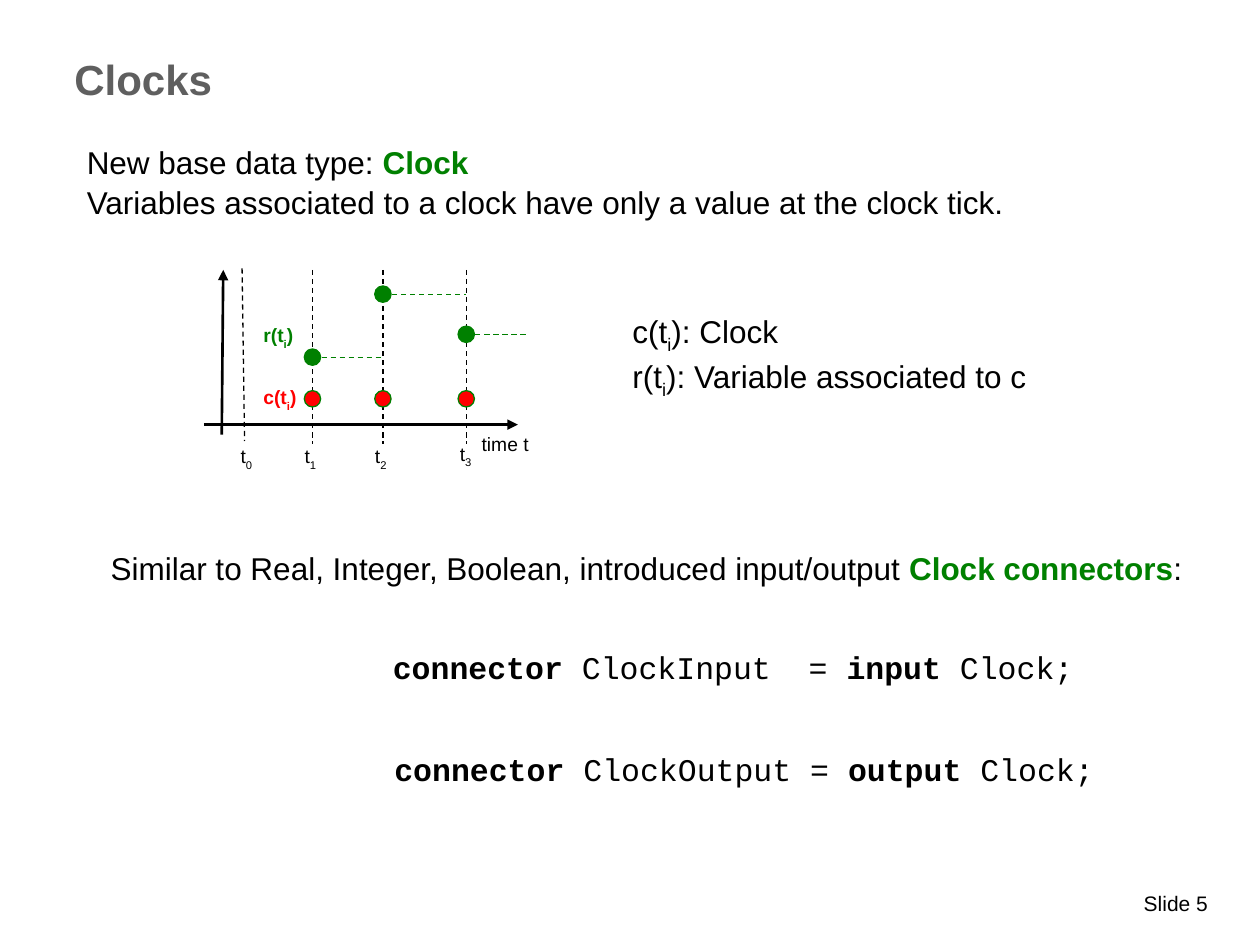
"""Build the slide that explains clocks and clock connectors."""
from dataclasses import dataclass

from lxml.etree import SubElement
from pptx import Presentation
from pptx.dml.color import RGBColor as Color
from pptx.enum.dml import MSO_LINE
from pptx.enum.shapes import MSO_CONNECTOR as Connector, MSO_SHAPE as Shape
from pptx.enum.text import PP_ALIGN as Align
from pptx.oxml.ns import qn
from pptx.util import Cm, Pt


@dataclass(frozen=True)
class Theme:
    """Colours, fonts and type sizes of the slide."""
    black: Color = Color(0, 0, 0)
    gray: Color = Color(0x5F, 0x5F, 0x5F)
    green: Color = Color(0, 0x80, 0)
    red: Color = Color(0xFF, 0, 0)
    sans: str = "Arial"
    mono: str = "Courier New"
    title: int = 24
    body: int = 18
    footer: int = 12
    label: int = 11
    axis: float = 1.5
    thin: float = 0.75


THEME = Theme()


def add_span(para, text, size, font=THEME.sans, color=THEME.black, bold=False, baseline=0):
    """Append one formatted run to a paragraph."""
    span = para.add_run()
    span.text = text
    span.font.size = Pt(size)
    span.font.name = font
    span.font.bold = bold
    span.font.color.rgb = color
    if baseline:
        span.font._element.set("baseline", str(baseline * 1000))


def add_text(slide, place, lines, size, inset=(0, 0), spacing=None, align=Align.LEFT, **style):
    """Add a text box; each line is a list of (text, style changes)."""
    box = slide.shapes.add_textbox(*map(Cm, place))
    frame = box.text_frame
    frame.word_wrap = True
    frame.margin_left = frame.margin_right = Cm(inset[0])
    frame.margin_top = frame.margin_bottom = Cm(inset[1])
    for index, line in enumerate(lines):
        para = frame.add_paragraph() if index else frame.paragraphs[0]
        para.alignment = align
        if spacing:
            para.line_spacing = spacing
        for text, changes in line:
            add_span(para, text, size, **{**style, **changes})


def add_body(slide, place, *lines, **style):
    """Add a block of body text."""
    add_text(slide, place, lines, THEME.body, (0.25, 0.13), 1.05, **style)


def add_label(slide, place, text, sub="", end="", **style):
    """Add a diagram label with an optional subscript."""
    spans = [(text, {}), (sub, {"baseline": -30}), (end, {})]
    add_text(slide, place, [[span for span in spans if span[0]]],
             THEME.label, (0.02, 0.02), **style)


def add_line(slide, start, end, color=THEME.black, width=THEME.thin, dashed=True, arrow=False):
    """Draw a straight line, dashed or with an arrowhead."""
    line = slide.shapes.add_connector(Connector.STRAIGHT, *map(Cm, (*start, *end)))
    line.line.color.rgb = color
    line.line.width = Pt(width)
    if dashed:
        line.line.dash_style = MSO_LINE.DASH
    properties = line._element.spPr
    if arrow:
        SubElement(properties.find(qn("a:ln")), qn("a:tailEnd"), type="triangle")
    SubElement(properties, qn("a:effectLst"))


def add_dot(slide, x, y, fill):
    """Draw a round value marker centred on a point."""
    size = 0.33
    dot = slide.shapes.add_shape(
        Shape.OVAL, Cm(x - size / 2), Cm(y - size / 2), Cm(size), Cm(size))
    dot.shadow.inherit = False
    dot.fill.solid()
    dot.fill.fore_color.rgb = fill
    dot.line.color.rgb = THEME.green
    dot.line.width = Pt(THEME.thin)


def add_diagram(slide):
    """Draw the clock ticks and the values held between them."""
    top, bottom, clock_y = 5.44, 8.96, 8.04
    ticks = [6.3, 7.72, 9.4]
    values = [7.2, 5.93, 6.74]
    hold_ends = ticks[1:] + [10.64]
    label_places = [(6.12, 8.94), (7.54, 8.94), (9.25, 8.89)]

    for start, end in [((4.11, 8.56), (10.44, 8.56)), ((4.47, 8.76), (4.5, 5.44))]:
        add_line(slide, start, end, width=THEME.axis, dashed=False, arrow=True)
    add_label(slide, (9.69, 8.69, 1.2, 0.55), "time t")

    add_line(slide, (4.88, 5.41), (4.93, 8.89))
    add_label(slide, (4.83, 8.94, 0.45, 0.5), "t", "0")
    for number, (x, y, hold_end, place) in enumerate(
            zip(ticks, values, hold_ends, label_places), 1):
        add_line(slide, (x, top), (x, bottom))
        add_line(slide, (x, y), (hold_end, y), THEME.green)
        add_dot(slide, x, y, THEME.green)
        add_dot(slide, x, clock_y, THEME.red)
        add_label(slide, (*place, 0.45, 0.5), "t", str(number))

    for y, text, color in [(6.5, "r(t", THEME.green), (7.75, "c(t", THEME.red)]:
        add_label(slide, (5.29, y, 0.8, 0.5), text, "i", ")", color=color, bold=True)


def main():
    """Create the deck and save it."""
    deck = Presentation()
    deck.slide_width, deck.slide_height = Cm(25.4), Cm(19.05)
    slide = deck.slides.add_slide(deck.slide_layouts[6])
    green = {"color": THEME.green, "bold": True}
    bold = {"bold": True}
    sub = {"baseline": -25}

    add_text(slide, (1.5, 1.07, 22.83, 2.34), [[("Clocks", bold)]], THEME.title,
             spacing=Pt(29), color=THEME.gray)
    add_body(slide, (1.5, 2.72, 20.19, 1.8),
             [("New base data type: ", {}), ("Clock", green)],
             [("Variables associated to a clock have only a value at the clock tick.", {})])
    add_diagram(slide)
    add_body(slide, (12.5, 6.12, 11, 1.8),
             [("c(t", {}), ("i", sub), ("): Clock", {})],
             [("r(t", {}), ("i", sub), ("): Variable associated to c", {})])
    add_body(slide, (1.98, 10.9, 22.6, 1.02),
             [("Similar to Real, Integer, Boolean, introduced input/output ", {}),
              ("Clock connectors", green), (":", {})])
    for x, y, name, direction in [(7.67, 12.9, "ClockInput  = ", "input"),
                                  (7.7, 14.96, "ClockOutput = ", "output")]:
        add_body(slide, (x, y, 16.64, 1.02),
                 [("connector ", bold), (name, {}), (direction, bold), (" Clock;", {})],
                 font=THEME.mono)
    add_text(slide, (1.9, 17.93, 22.45, 0.5), [[("Slide 5", {})]], THEME.footer,
             (0, 0.02), align=Align.RIGHT)
    deck.save("out.pptx")


if __name__ == "__main__":
    main()
